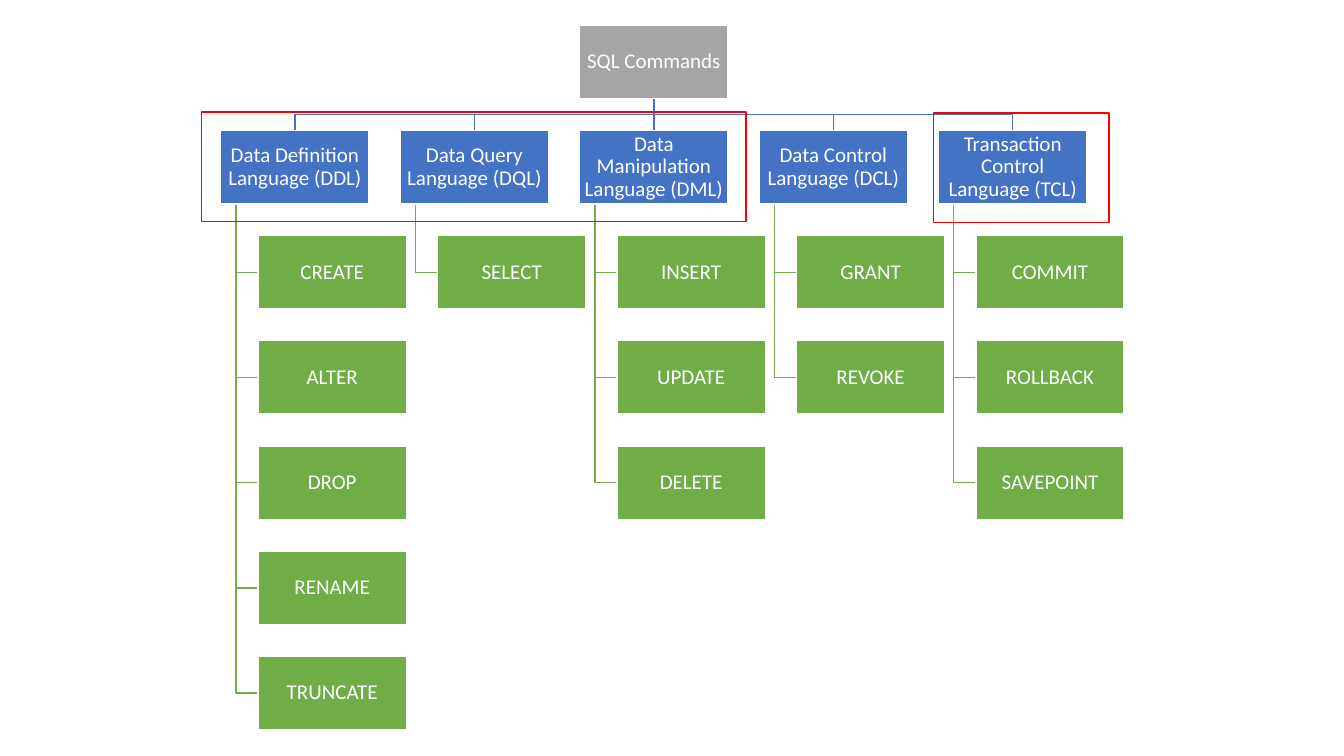
from pptx import Presentation
from pptx.dml.color import RGBColor
from pptx.enum.shapes import MSO_CONNECTOR, MSO_SHAPE
from pptx.enum.text import MSO_ANCHOR, PP_ALIGN
from pptx.oxml.ns import qn
from pptx.util import Inches, Pt
from lxml import etree

RECT, STRAIGHT = MSO_SHAPE.RECTANGLE, MSO_CONNECTOR.STRAIGHT
MIDDLE, CENTER = MSO_ANCHOR.MIDDLE, PP_ALIGN.CENTER
COLORS = {"root": "A5A5A5", "category": "4472C4", "command": "70AD47",
          "white": "FFFFFF", "frame": "FF0000"}
RGB = {name: RGBColor.from_string(value) for name, value in COLORS.items()}

CATEGORIES = {
    "Data Definition Language (DDL)": ["CREATE", "ALTER", "DROP", "RENAME", "TRUNCATE"],
    "Data Query Language (DQL)": ["SELECT"],
    "Data Manipulation Language (DML)": ["INSERT", "UPDATE", "DELETE"],
    "Data Control Language (DCL)": ["GRANT", "REVOKE"],
    "Transaction Control Language (TCL)": ["COMMIT", "ROLLBACK", "SAVEPOINT"],
}

# Grid of the tree, in inches
LEFT, TOP = 2.19, 0.25
BOX_W, BOX_H = 1.47, 0.73
COL = 1.78
ROW = 6.26 / 6
INDENT = 0.37   # commands sit this far right of their category
STEM = 0.15     # line down to the commands, from the category's left edge
ROOT_X = LEFT + 2 * COL
CENTER_X = ROOT_X + BOX_W / 2

prs = Presentation()
prs.slide_width, prs.slide_height = Inches(13.33), Inches(7.5)
s = prs.slides.add_slide(prs.slide_layouts[6])


def add_bent_line(points, color):
    points = [(Inches(x), Inches(y)) for x, y in points]
    builder = s.shapes.build_freeform(*points[0])
    builder.add_line_segments(points[1:], close=False)
    sp = builder.convert_to_shape()
    sp.shadow.inherit = False
    sp.fill.background()
    sp.line.color.rgb = RGB[color]
    sp.line.width = Pt(1)


def add_box(text, x, row, color):
    sp = s.shapes.add_shape(RECT, Inches(x), Inches(TOP + row * ROW),
                            Inches(BOX_W), Inches(BOX_H))
    sp.shadow.inherit = False
    sp.fill.solid()
    sp.fill.fore_color.rgb = RGB[color]
    sp.line.color.rgb = RGB["white"]
    sp.line.width = Pt(1)
    tf = sp.text_frame
    tf.word_wrap = True
    tf.vertical_anchor = MIDDLE
    tf.margin_left = tf.margin_right = tf.margin_top = tf.margin_bottom = Inches(0.01)
    p = tf.paragraphs[0]
    p.text = text
    p.alignment = CENTER
    p.line_spacing = 0.9
    font = p.runs[0].font
    font.name, font.size, font.color.rgb = "Calibri", Pt(15), RGB["white"]


# Lines, behind the boxes
root_bottom, category_top = TOP + BOX_H, TOP + ROW
bus_y = (root_bottom + category_top) / 2
for col, commands in enumerate(CATEGORIES.values()):
    x = LEFT + col * COL
    for row in range(2, 2 + len(commands)):
        y = TOP + row * ROW + BOX_H / 2
        add_bent_line([(x + STEM, category_top + BOX_H), (x + STEM, y),
                       (x + INDENT, y)], "command")
    if x != ROOT_X:
        category_x = x + BOX_W / 2
        add_bent_line([(CENTER_X, root_bottom), (CENTER_X, bus_y),
                       (category_x, bus_y), (category_x, category_top)], "category")

trunk = s.shapes.add_connector(STRAIGHT, Inches(CENTER_X), Inches(root_bottom),
                               Inches(CENTER_X), Inches(category_top))
trunk.line.color.rgb = RGB["category"]
trunk.line.width = Pt(1)
etree.SubElement(trunk._element.spPr, qn("a:effectLst"))

# Boxes
add_box("SQL Commands", ROOT_X, 0, "root")
for col, (category, commands) in enumerate(CATEGORIES.items()):
    x = LEFT + col * COL
    add_box(category, x, 1, "category")
    for row, command in enumerate(commands, start=2):
        add_box(command, x + INDENT, row, "command")

# Red frames around the highlighted categories
for x, y, w in [(2, 1.11, 5.4), (9.26, 1.12, 1.74)]:
    frame = s.shapes.add_shape(RECT, Inches(x), Inches(y), Inches(w), Inches(1.09))
    frame.shadow.inherit = False
    frame.fill.background()
    frame.line.color.rgb = RGB["frame"]
    frame.line.width = Pt(1)

prs.save("out.pptx")
